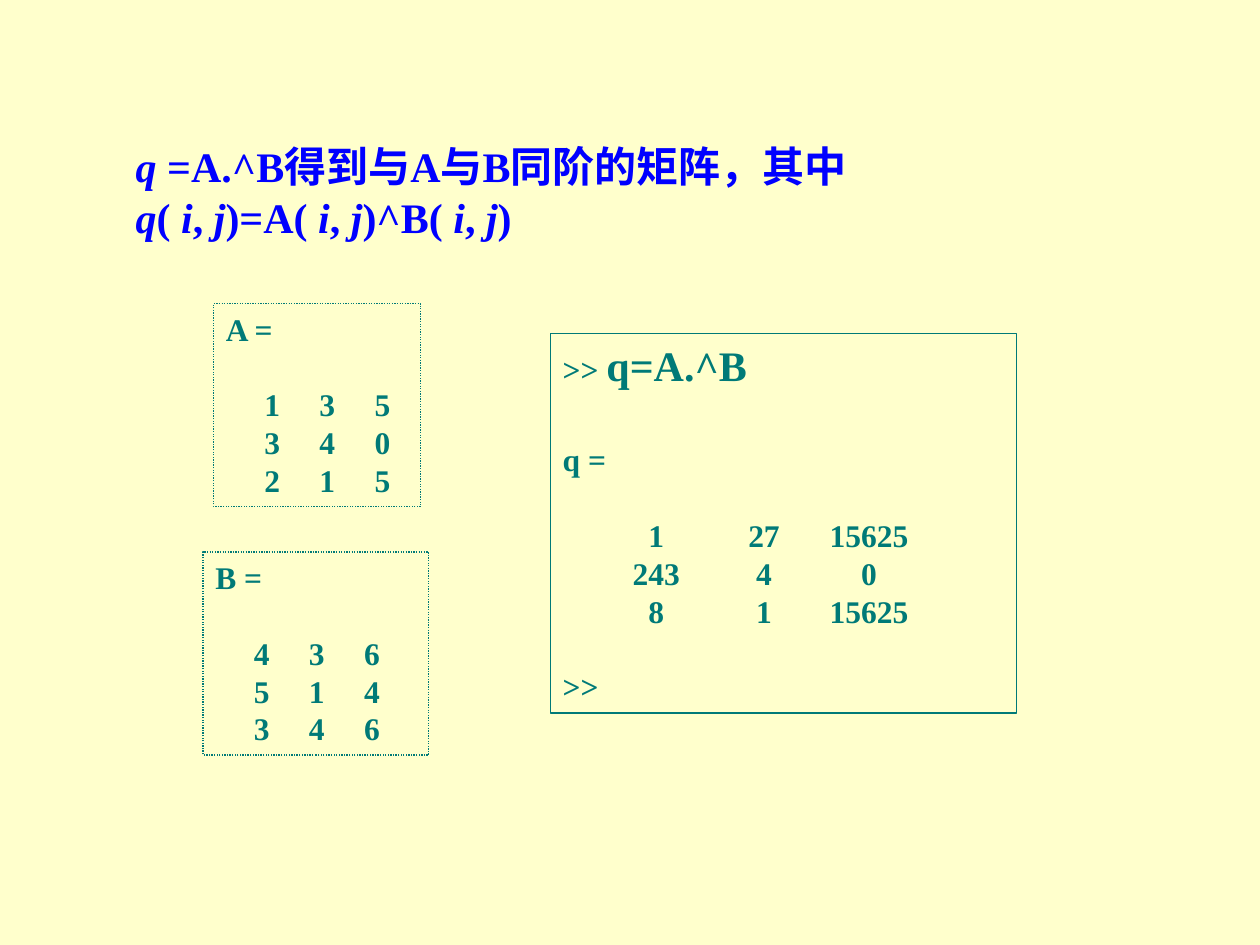
"""Build the slide on element-wise matrix powers."""
from itertools import groupby

from lxml import etree
from pptx import Presentation
from pptx.dml.color import RGBColor
from pptx.enum import dml, shapes, text
from pptx.oxml.ns import qn
from pptx.util import Pt

PAPER, TEAL, BLUE = "FFFFCC", "007A77", "0000FF"
LATIN, CHINESE = "Times New Roman", "Noto Sans CJK SC"
BODY, LARGE, LEADING = 18, 24, 1.2

RULE = [
    ["q ", "=A.^B得到与A与B同阶的矩阵，其中"],
    ["q", "( ", "i", ", ", "j", ")=A( ", "i", ", ", "j", ")^B( ", "i", ", ", "j", ")"],
]
RULE_PLACE = (70.5, 77, 431.5, 65.5)

OPERANDS = [
    ("A =", [[1, 3, 5], [3, 4, 0], [2, 1, 5]], (122, 173.5, 118.5, 116)),
    ("B =", [[4, 3, 6], [5, 1, 4], [3, 4, 6]], (116, 315.5, 129, 116)),
]
OPERAND_STOPS = (26.5, 58, 89.5)

PROMPT, COMMAND = ">> ", "q=A.^B"
RESULT = ("q =", [[1, 27, 15625], [243, 4, 0], [8, 1, 15625]])
RESULT_STOPS = (53.5, 115, 175)
SESSION_PLACE = (314.5, 190.5, 266.5, 217)


def color(value):
    return RGBColor.from_string(value)


def add_run(paragraph, words, size=BODY, ink=TEAL, italic=False):
    for ascii_only, letters in groupby(words, str.isascii):
        run = paragraph.add_run()
        run.text = "".join(letters)
        font = run.font
        font.size, font.bold, font.italic = Pt(size), True, italic
        font.color.rgb = color(ink)
        font.name = LATIN if ascii_only else CHINESE
        latin = run._r.rPr.find(qn("a:latin"))
        latin.addnext(etree.Element(qn("a:ea"), typeface=CHINESE))


def add_line(frame, words="", size=BODY, gap=0, stops=(), **style):
    paragraph = frame.paragraphs[0]
    if paragraph.runs:
        paragraph = frame.add_paragraph()
    paragraph.alignment = text.PP_ALIGN.LEFT
    paragraph.line_spacing = Pt(size * LEADING)
    paragraph.space_before = Pt(gap * LEADING)
    if stops:
        tabs = etree.SubElement(paragraph._p.get_or_add_pPr(), qn("a:tabLst"))
        for stop in stops:
            etree.SubElement(tabs, qn("a:tab"), pos=str(Pt(stop)), algn="ctr")
    if words:
        add_run(paragraph, words, size, **style)
    return paragraph


def add_matrix(frame, label, rows, stops, gap=0):
    add_line(frame, label, gap=gap)
    for index, row in enumerate(rows):
        add_line(frame, "".join(f"\t{value}" for value in row),
                 gap=0 if index else BODY, stops=stops)


def set_frame(frame):
    frame.word_wrap = True
    frame.auto_size = text.MSO_AUTO_SIZE.SHAPE_TO_FIT_TEXT
    frame.vertical_anchor = text.MSO_ANCHOR.TOP
    return frame


def add_panel(slide, place, dash=None):
    panel = slide.shapes.add_shape(shapes.MSO_SHAPE.RECTANGLE, *map(Pt, place))
    panel.shadow.inherit = False
    panel.fill.background()
    panel.line.color.rgb = color(TEAL)
    panel.line.width = Pt(0.75)
    if dash:
        panel.line.dash_style = dash
    return set_frame(panel.text_frame)


def main():
    deck = Presentation()
    deck.slide_width, deck.slide_height = Pt(720), Pt(540)
    slide = deck.slides.add_slide(deck.slide_layouts[6])
    slide.background.fill.solid()
    slide.background.fill.fore_color.rgb = color(PAPER)

    for label, rows, place in OPERANDS:
        operand = add_panel(slide, place, dml.MSO_LINE.ROUND_DOT)
        add_matrix(operand, label, rows, OPERAND_STOPS)

    rule = set_frame(slide.shapes.add_textbox(*map(Pt, RULE_PLACE)).text_frame)
    for parts in RULE:
        line = add_line(rule, size=LARGE)
        for index, part in enumerate(parts):
            add_run(line, part, LARGE, BLUE, italic=index % 2 == 0)

    session = add_panel(slide, SESSION_PLACE)
    command = add_line(session, PROMPT)
    command.line_spacing = Pt(LARGE * LEADING)
    add_run(command, COMMAND, LARGE)
    add_matrix(session, *RESULT, RESULT_STOPS, gap=LARGE)
    add_line(session, PROMPT.strip(), gap=BODY)

    deck.save("out.pptx")


if __name__ == "__main__":
    main()
